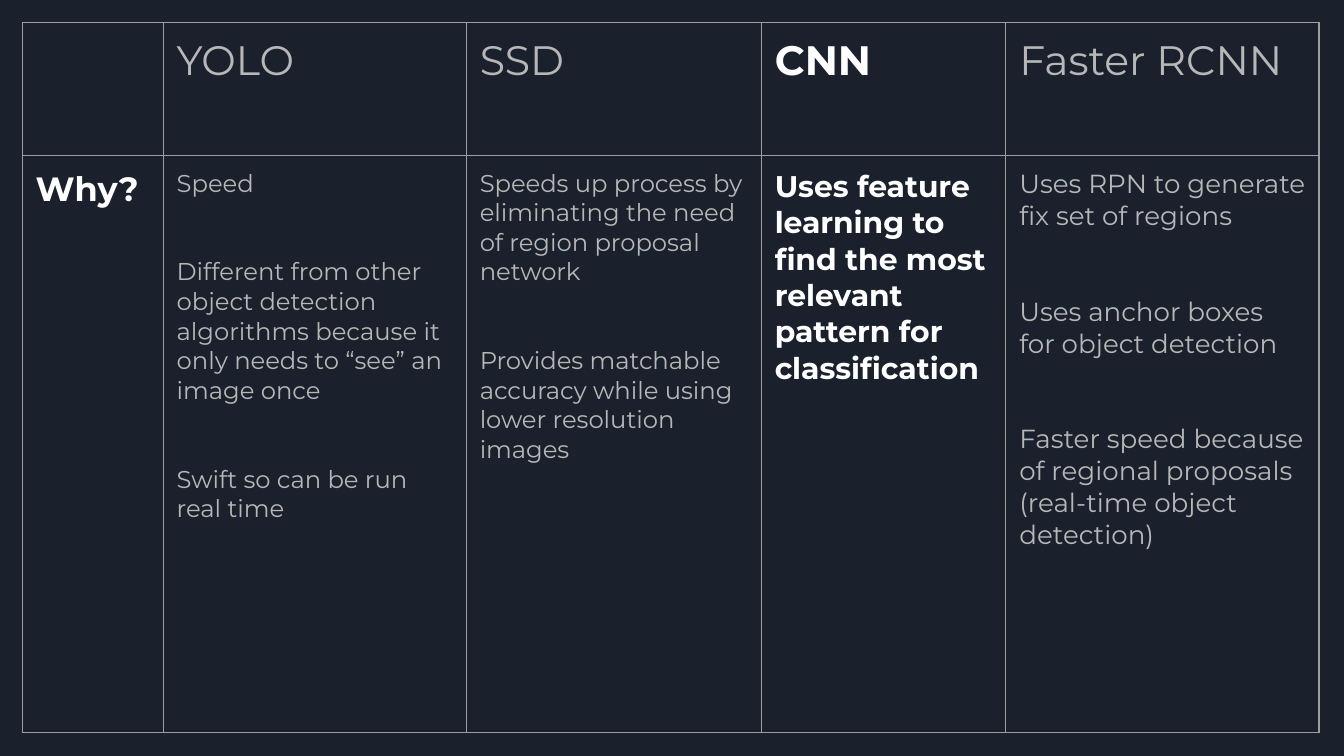
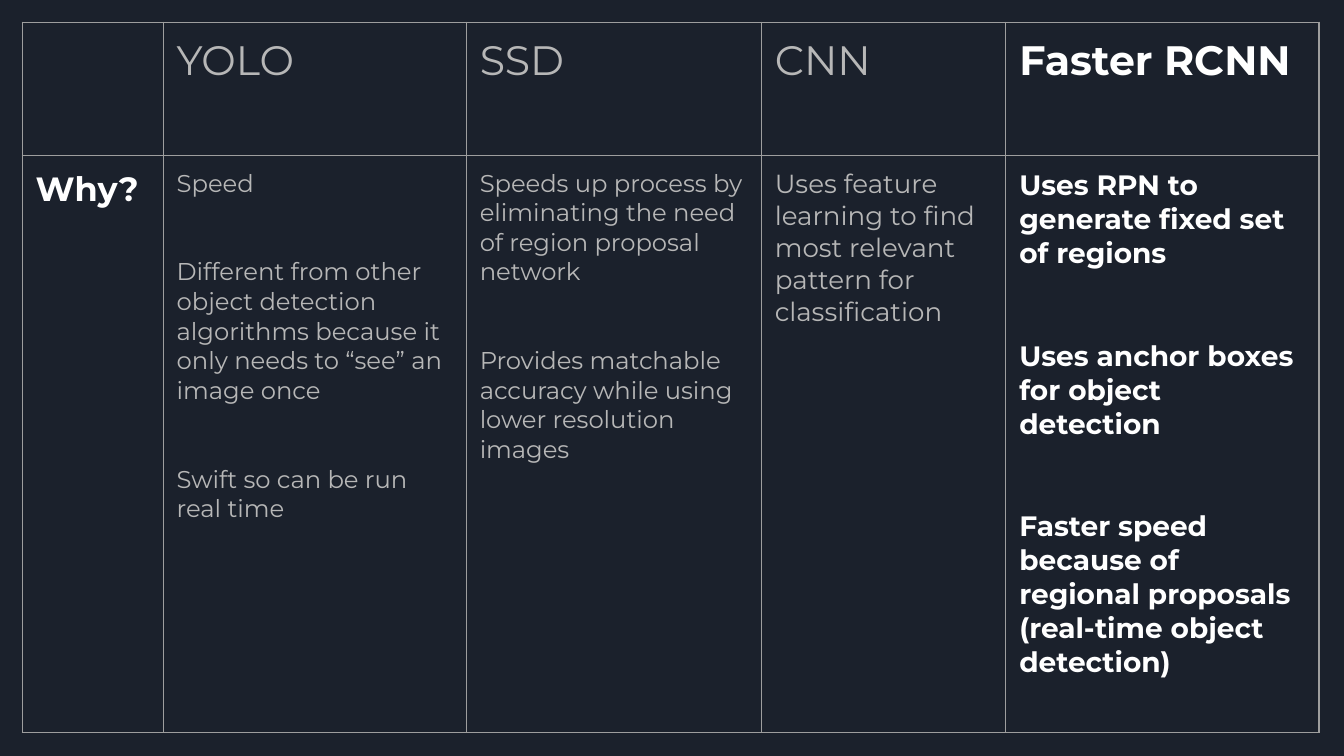
from pptx import Presentation, util as u
from pptx.dml.color import RGBColor
from pptx.oxml import parse_xml
from pptx.oxml.ns import nsdecls

PX = 4572  # EMU per px, 200 px to the inch
BACKGROUND, MUTED, BRIGHT, GRID = "1B212C", "B7B7B7", "FFFFFF", "9E9E9E"
COLUMNS = [210, 451, 439, 364, 466]
ROWS = [198, 859]
MODELS = ["YOLO", "SSD", "CNN", "Faster RCNN"]
YOLO = [
    "Speed",
    "Different from other object detection algorithms because it only needs to “see” an image once",
    "Swift so can be run real time",
]
SSD = [
    "Speeds up process by eliminating the need of region proposal network",
    "Provides matchable accuracy while using lower resolution images",
]
RCNN = [
    "Uses anchor boxes for object detection",
    "Faster speed because of regional proposals (real-time object detection)",
]


def px(n):
    return u.Emu(n * PX)


def color(value):
    return RGBColor.from_string(value)


class Deck:
    def __init__(self):
        self.prs = Presentation()
        self.prs.slide_width, self.prs.slide_height = px(2000), px(1125)
        self.font = "Montserrat"
        self.s = None

    def slide(self):
        self.s = self.prs.slides.add_slide(self.prs.slide_layouts[6])
        fill = self.s.background.fill
        fill.solid()
        fill.fore_color.rgb = color(BACKGROUND)

    def table(self, x, y, columns, rows):
        frame = self.s.shapes.add_table(
            len(rows), len(columns), px(x), px(y), px(sum(columns)), px(sum(rows)))
        table = frame.table
        table.first_row = table.horz_banding = False
        for column, width in zip(table.columns, columns):
            column.width = px(width)
        for row, height in zip(table.rows, rows):
            row.height = px(height)
        for cell in table.iter_cells():
            self.frame_cell(cell)
        return table

    def frame_cell(self, cell):
        """Give a cell equal insets, grid lines and no fill."""
        for side in ("left", "right", "top", "bottom"):
            setattr(cell, f"margin_{side}", px(20))
        tcPr = cell._tc.get_or_add_tcPr()
        for side in "LRTB":
            tcPr.append(parse_xml(
                f'<a:ln{side} {nsdecls("a")} w="{u.Pt(0.75)}"><a:solidFill>'
                f'<a:srgbClr val="{GRID}"/></a:solidFill></a:ln{side}>'))
        cell.fill.background()

    def cell_text(self, cell, paragraphs, size, bright=False):
        """Fill a cell, with a gap of two lines between paragraphs."""
        style = {"name": self.font, "size": u.Pt(size), "bold": bright}
        tf = cell.text_frame
        for i, words in enumerate(paragraphs):
            p = tf.add_paragraph() if i else tf.paragraphs[0]
            if i:
                p.space_before = u.Pt(2.44 * size)
            r = p.add_run()
            r.text = words
            for name, value in style.items():
                setattr(r.font, name, value)
            r.font.color.rgb = color(BRIGHT if bright else MUTED)

    def comparison(self, focus, reasons):
        """Compare the models, with the focus column in bright bold text."""
        self.slide()
        table = self.table(33, 33, COLUMNS, ROWS)
        self.cell_text(table.cell(1, 0), ["Why?"], 18, True)
        for i, (model, (paragraphs, size)) in enumerate(zip(MODELS, reasons), 1):
            self.cell_text(table.cell(0, i), [model], 22, model == focus)
            self.cell_text(table.cell(1, i), paragraphs, size, model == focus)


def main():
    deck = Deck()
    shared = [(YOLO, 13), (SSD, 13)]
    deck.comparison("CNN", shared + [
        (["Uses feature learning to find the most relevant pattern for classification"], 16),
        (["Uses RPN to generate fix set of regions"] + RCNN, 14),
    ])
    deck.comparison("Faster RCNN", shared + [
        (["Uses feature learning to find most relevant pattern for classification"], 14),
        (["Uses RPN to generate fixed set of regions"] + RCNN, 15),
    ])
    deck.prs.save("out.pptx")


if __name__ == "__main__":
    main()
